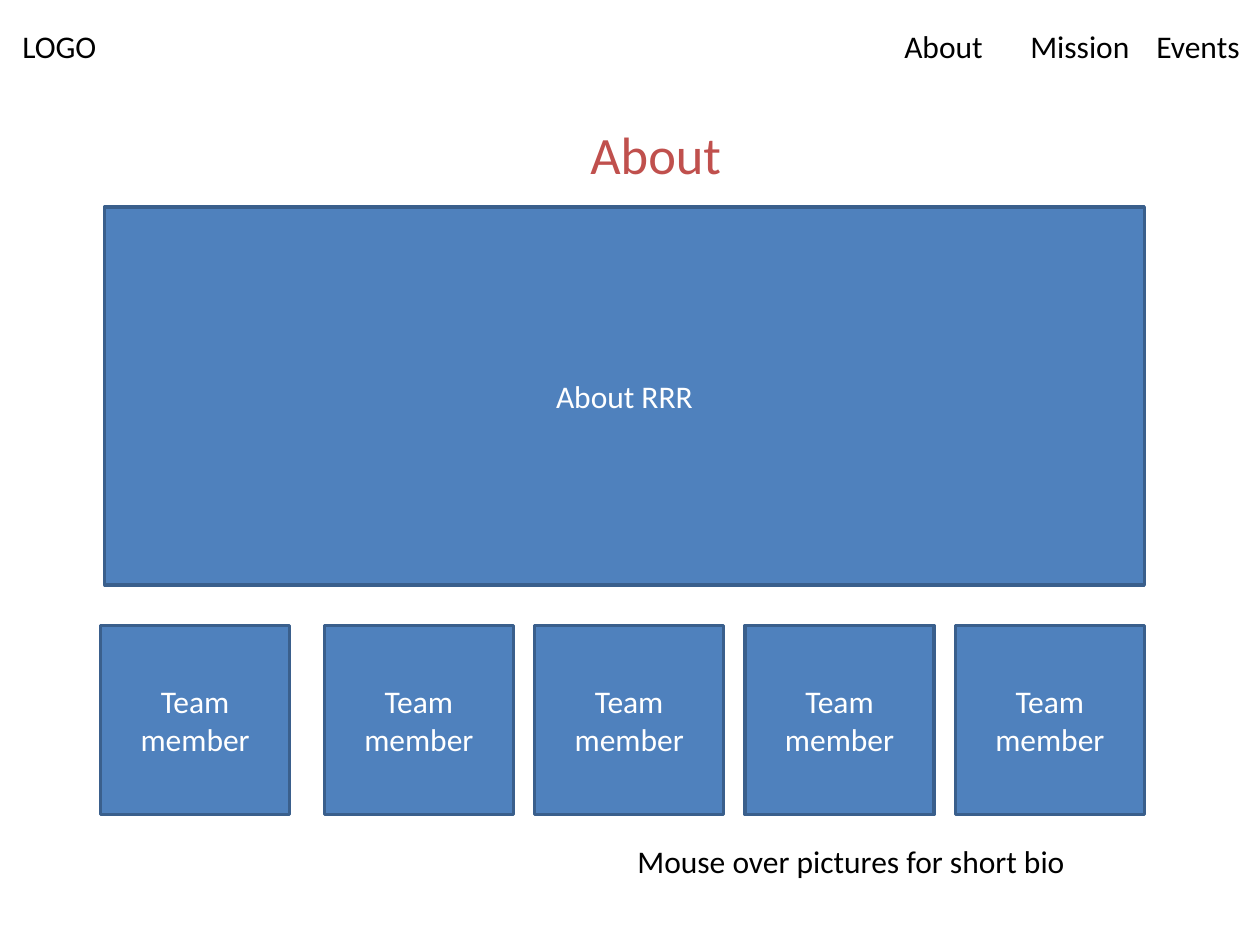
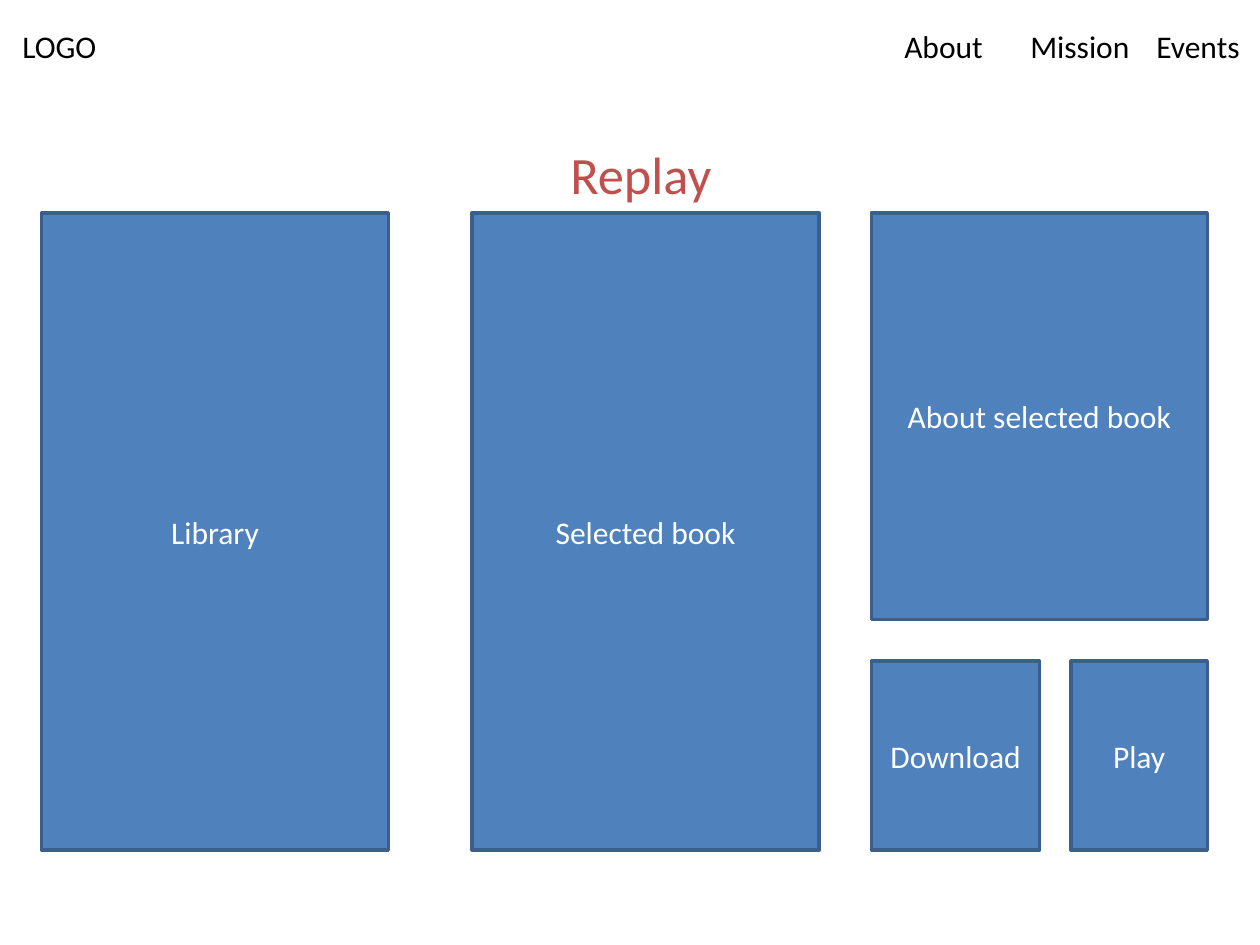
"""Build two website wireframe slides that share a navigation bar."""
from dataclasses import dataclass

from lxml.etree import SubElement
from pptx import Presentation
from pptx.dml.color import RGBColor
from pptx.enum.shapes import MSO_SHAPE
from pptx.enum.text import MSO_ANCHOR, MSO_AUTO_SIZE, PP_ALIGN
from pptx.oxml.ns import qn
from pptx.util import Cm, Pt


@dataclass(frozen=True)
class Theme:
    font: str = "Calibri"
    title_size: int = 30
    body_size: int = 18
    line_width: int = 2
    title: str = "C0504D"
    text: str = "000000"
    panel: str = "4F81BD"
    border: str = "3A5F8C"
    panel_text: str = "FFFFFF"


THEME = Theme()
SLIDE_SIZE = (25.4, 19.05)
TITLE_ONLY = 5

NAVIGATION = ["LOGO", "About", "Mission", "Events"]
NAVIGATION_BOX = (0.2, 0.43, 26.16, 1.02)
NAVIGATION_STOPS = [17.78, 20.32, 22.86]

TEAM = ["Team member"] * 5
TEAM_TOP, TEAM_SIDE, TEAM_PITCH = 12.61, 3.81, 4.24
TEAM_FIRST_LEFT = 2.03
ABOUT_PANEL = (2.11, 4.17, 20.96, 7.62)

COLUMN_TOP, COLUMN_HEIGHT = 4.29, 12.85
COLUMN_WIDTH = 6.99
DETAIL_LEFT, DETAIL_WIDTH, DETAIL_HEIGHT = 17.57, 6.77, 8.2
BUTTON_HEIGHT = 3.81
COLUMNS = [("Library", 0.84), ("Selected book", 9.52)]
BUTTONS = [("Download", 17.57, 3.39), ("Play", 21.59, 2.75)]


def team_panels():
    left, top, width, height = ABOUT_PANEL
    last_left = left + width - TEAM_SIDE
    lefts = [last_left - TEAM_PITCH * step for step in range(len(TEAM) - 1, 0, -1)]
    lefts = [TEAM_FIRST_LEFT] + [place + TEAM_PITCH for place in lefts]
    return [(name, (place, TEAM_TOP, TEAM_SIDE, TEAM_SIDE))
            for name, place in zip(TEAM, lefts)]


def replay_panels():
    button_top = COLUMN_TOP + COLUMN_HEIGHT - BUTTON_HEIGHT
    columns = [(name, (left, COLUMN_TOP, COLUMN_WIDTH, COLUMN_HEIGHT))
               for name, left in COLUMNS]
    detail = ("About selected book",
              (DETAIL_LEFT, COLUMN_TOP, DETAIL_WIDTH, DETAIL_HEIGHT))
    buttons = [(name, (left, button_top, width, BUTTON_HEIGHT))
               for name, left, width in BUTTONS]
    return columns + [detail] + buttons


SLIDES = [
    {
        "title": ("About", (11.63, 2.34, 3.18, 1.55)),
        "panels": [("About RRR", ABOUT_PANEL)] + team_panels(),
        "captions": [("Mouse over pictures for short bio", (12.6, 16.84, 9.22, 1.02))],
    },
    {
        "title": ("Replay", (6.15, 2.74, 13.54, 1.55)),
        "panels": replay_panels(),
        "captions": [],
    },
]


def lengths(box):
    return [Cm(value) for value in box]


def write(shape, text, size, color, align, wrap=True):
    frame = shape.text_frame
    frame.text = text
    frame.word_wrap = wrap
    frame.auto_size = MSO_AUTO_SIZE.NONE
    paragraph = frame.paragraphs[0]
    paragraph.alignment = align
    for run in paragraph.runs:
        run.font.name = THEME.font
        run.font.size = Pt(size)
        run.font.color.rgb = RGBColor.from_string(color)


def add_label(slide, text, box, wrap=False):
    label = slide.shapes.add_textbox(*lengths(box))
    write(label, text, THEME.body_size, THEME.text, PP_ALIGN.LEFT, wrap)
    return label


def add_panel(slide, text, box):
    panel = slide.shapes.add_shape(MSO_SHAPE.RECTANGLE, *lengths(box))
    panel.shadow.inherit = False
    panel.fill.solid()
    panel.fill.fore_color.rgb = RGBColor.from_string(THEME.panel)
    panel.line.color.rgb = RGBColor.from_string(THEME.border)
    panel.line.width = Pt(THEME.line_width)
    write(panel, text, THEME.body_size, THEME.panel_text, PP_ALIGN.CENTER)
    panel.text_frame.vertical_anchor = MSO_ANCHOR.MIDDLE


def set_title(slide, text, box):
    title = slide.shapes.title
    title.left, title.top, title.width, title.height = lengths(box)
    write(title, text, THEME.title_size, THEME.title, PP_ALIGN.CENTER, wrap=False)
    title.text_frame.vertical_anchor = MSO_ANCHOR.TOP


def move_navigation_to_layout(slide, layout):
    bar = add_label(slide, "\t".join(NAVIGATION), NAVIGATION_BOX, wrap=True)
    properties = bar.text_frame.paragraphs[0]._p.get_or_add_pPr()
    stops = SubElement(properties, qn("a:tabLst"))
    for position in NAVIGATION_STOPS:
        SubElement(stops, qn("a:tab"), pos=str(int(Cm(position))), algn="l")
    layout.shapes.element.append(bar.element)


def build():
    presentation = Presentation()
    presentation.slide_width, presentation.slide_height = lengths(SLIDE_SIZE)
    layout = presentation.slide_layouts[TITLE_ONLY]
    for content in SLIDES:
        slide = presentation.slides.add_slide(layout)
        set_title(slide, *content["title"])
        for text, box in content["panels"]:
            add_panel(slide, text, box)
        for text, box in content["captions"]:
            add_label(slide, text, box)
    move_navigation_to_layout(presentation.slides[0], layout)
    presentation.save("out.pptx")


build()
